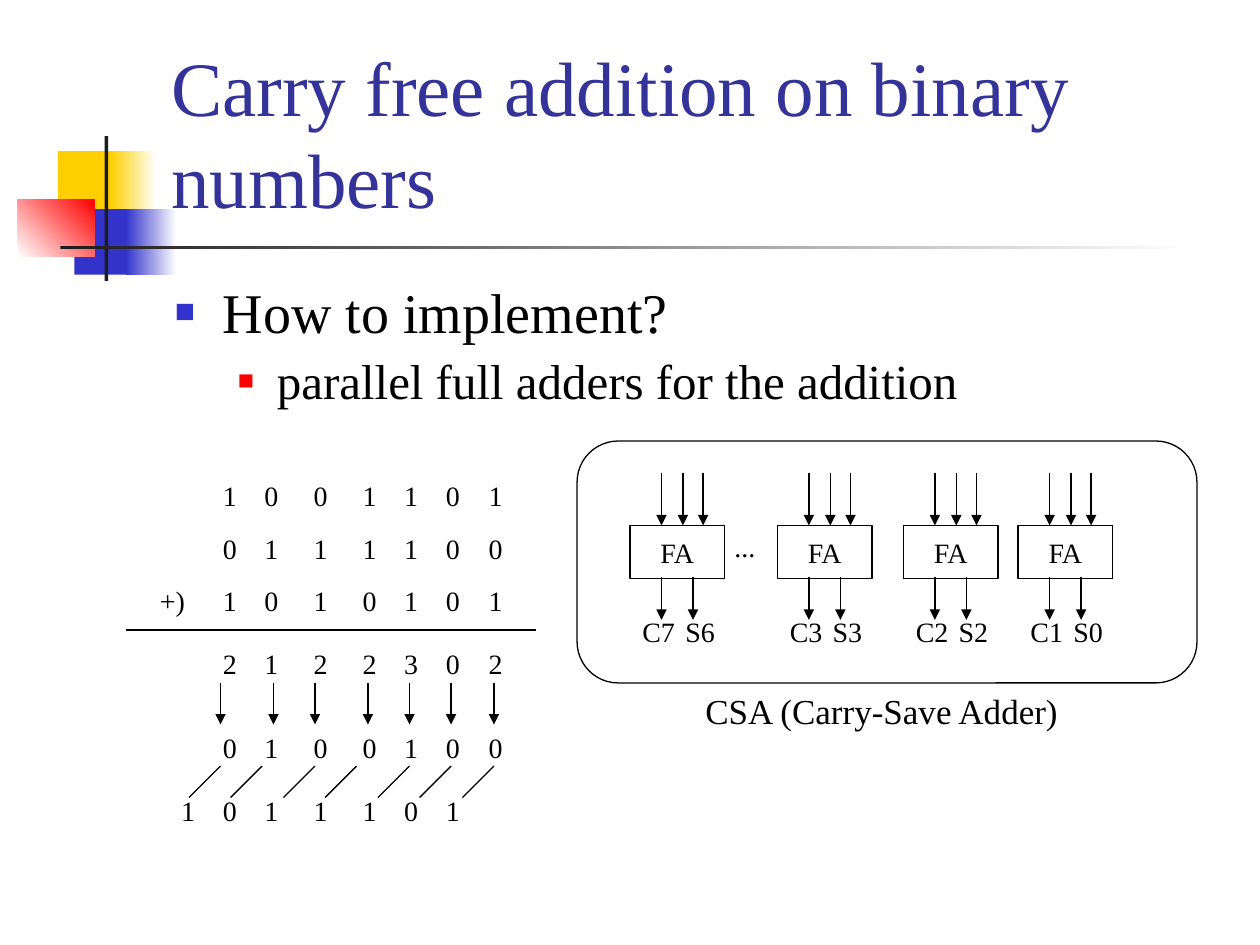
from lxml.etree import SubElement
from pptx import Presentation
from pptx.dml.color import RGBColor
from pptx.enum.shapes import MSO_CONNECTOR as CONN, MSO_SHAPE as SHAPE
from pptx.enum.text import MSO_ANCHOR as ANCHOR, PP_ALIGN as ALIGN
from pptx.oxml.ns import qn
from pptx.util import Inches, Pt

BLACK = RGBColor(0x00, 0x00, 0x00)
WHITE = RGBColor(0xFF, 0xFF, 0xFF)
INK = RGBColor(0x1C, 0x1C, 0x1C)
YELLOW = RGBColor(0xFF, 0xCF, 0x01)
BLUE = RGBColor(0x33, 0x33, 0xCC)
RED = RGBColor(0xFF, 0x00, 0x00)
NAVY = RGBColor(0x33, 0x33, 0x99)
FONT = "Times New Roman"

prs = Presentation()
prs.slide_width, prs.slide_height = Inches(10), Inches(7.5)
s = prs.slides.add_slide(prs.slide_layouts[6])


def add_box(lines, x, y, w, h, size=16, color=BLACK, wrap=False, outline=None):
    """Add a text box, or an unfilled outlined shape, with one paragraph per line."""
    place = [Inches(v) for v in (x, y, w, h)]
    if outline is None:
        sp = s.shapes.add_textbox(*place)
    else:
        sp = s.shapes.add_shape(outline, *place)
        sp.shadow.inherit = False
        sp.fill.background()
        sp.line.color.rgb = BLACK
        sp.line.width = Pt(0.75)
    tf = sp.text_frame
    tf.word_wrap = wrap
    for i, line in enumerate(lines):
        p = tf.add_paragraph() if i else tf.paragraphs[0]
        r = p.add_run()
        r.text = line
        for name, value in {"name": FONT, "size": Pt(size)}.items():
            setattr(r.font, name, value)
        r.font.color.rgb = color
    return sp


def add_line(x1, y1, x2, y2, arrow=False):
    cn = s.shapes.add_connector(CONN.STRAIGHT, Inches(x1), Inches(y1), Inches(x2), Inches(y2))
    cn.line.color.rgb = BLACK
    cn.line.width = Pt(0.75)
    spPr = cn._element.spPr
    if arrow:
        SubElement(spPr.find(qn("a:ln")), qn("a:tailEnd"), type="triangle")
    SubElement(spPr, qn("a:effectLst"))


# Corner decoration: left, top, width, height, colours, gradient angle
for x, y, w, h, colors, angle in [
    (0.46, 1.2, 0.48, 0.52, [YELLOW], 0),
    (0.88, 1.2, 0.36, 0.52, [YELLOW, WHITE], 0),
    (0.59, 1.66, 0.46, 0.52, [BLUE], 0),
    (1, 1.66, 0.4, 0.52, [BLUE, WHITE], 0),
    (0.14, 1.58, 0.61, 0.46, [WHITE, RED], 45),
    (0.83, 1.08, 0.03, 1.15, [INK], 0),
    (0.48, 1.95, 9, 0.03, [INK, WHITE], 0),
]:
    sp = s.shapes.add_shape(SHAPE.RECTANGLE, Inches(x), Inches(y), Inches(w), Inches(h))
    sp.shadow.inherit = False
    sp.line.fill.background()
    if len(colors) == 1:
        sp.fill.solid()
        sp.fill.fore_color.rgb = colors[0]
    else:
        sp.fill.gradient()
        sp.fill.gradient_angle = angle
        for stop, color in zip(sp.fill.gradient_stops, colors):
            stop.color.rgb = color

# Title and bullets
title = add_box(["Carry free addition on binary numbers"], 1.26, 0.23, 8.52, 1.6, 44, NAVY, True)
title.text_frame.vertical_anchor = ANCHOR.BOTTOM

body = add_box(["How to implement?", "parallel full adders for the addition"],
               1.29, 2.21, 8.5, 1.13, 32, wrap=True)
for level, (p, size, indent, hang, before, color, percent) in enumerate(zip(
    body.text_frame.paragraphs, (32, 28), (0.38, 0.81), (0.38, 0.31), (8, 7), (BLUE, RED), (60, 55)
)):
    p.runs[0].font.size = Pt(size)
    for name, value in {"level": level, "line_spacing": 0.9, "space_before": Pt(before)}.items():
        setattr(p, name, value)
    pPr = p._p.get_or_add_pPr()
    pPr.set("marL", str(Inches(indent)))
    pPr.set("indent", str(-Inches(hang)))
    SubElement(SubElement(pPr, qn("a:buClr")), qn("a:srgbClr"), val=str(color))
    SubElement(pPr, qn("a:buSzPct"), val=str(percent * 1000))
    SubElement(pPr, qn("a:buFont"), typeface=FONT)
    SubElement(pPr, qn("a:buChar"), char="■")

# Binary addition: digits sit on tab stops at the column positions
COLUMNS = [1.44, 1.77, 2.1, 2.49, 2.88, 3.21, 3.54, 3.88]
for digits, y, first in [
    ("1001101", 3.75, 1),
    ("0111100", 4.17, 1),
    ("1010101", 4.58, 1),
    ("2122302", 5.08, 1),
    ("0100100", 5.75, 1),
    ("1011101", 6.25, 0),
]:
    start = COLUMNS[first]
    row = add_box(["\t".join(digits)], start - 0.1, y, 2.5, 0.37, wrap=True)
    tabs = SubElement(row.text_frame.paragraphs[0]._p.get_or_add_pPr(), qn("a:tabLst"))
    for column in COLUMNS[first + 1:]:
        SubElement(tabs, qn("a:tab"), pos=str(Inches(column - start)), algn="l")
add_box(["+)"], 1.17, 4.58, 0.45, 0.37)
add_line(1, 5, 4.25, 5)

for x in (1.75, 2.17, 2.5, 2.92, 3.25, 3.58, 3.92):
    add_line(x, 5.42, x, 5.75, arrow=True)
for x in (1.75, 2.08, 2.5, 2.83, 3.25, 3.58, 3.92):
    add_line(x, 6.08, x - 0.25, 6.33)

# Full adders: left edge, carry output, sum output
for x, carry, total in [
    (8.08, "C1", "S0"), (7.17, "C2", "S2"), (6.17, "C3", "S3"), (5, "C7", "S6"),
]:
    adder = add_box(["FA"], x, 4.17, 0.75, 0.42, outline=SHAPE.RECTANGLE)
    adder.text_frame.vertical_anchor = ANCHOR.MIDDLE
    adder.text_frame.paragraphs[0].alignment = ALIGN.CENTER
    for dx in (0.25, 0.42, 0.58):
        add_line(x + dx, 3.75, x + dx, 4.17, arrow=True)
    for dx in (0.25, 0.5):
        add_line(x + dx, 4.58, x + dx, 4.92, arrow=True)
    for label, dx in ((carry, 0), (total, 0.34)):
        add_box([label], x + dx, 4.83, 0.55, 0.37, wrap=True)
add_box(["..."], 5.73, 4.15, 0.45, 0.37, wrap=True)

# Carry-save adder frame
frame = add_box([], 4.58, 3.5, 4.92, 1.92, outline=SHAPE.ROUNDED_RECTANGLE)
frame.adjustments[0] = 0.17
add_box(["CSA (Carry-Save Adder)"], 5.5, 5.42, 3.2, 0.44, 20, wrap=True)

prs.save("out.pptx")
